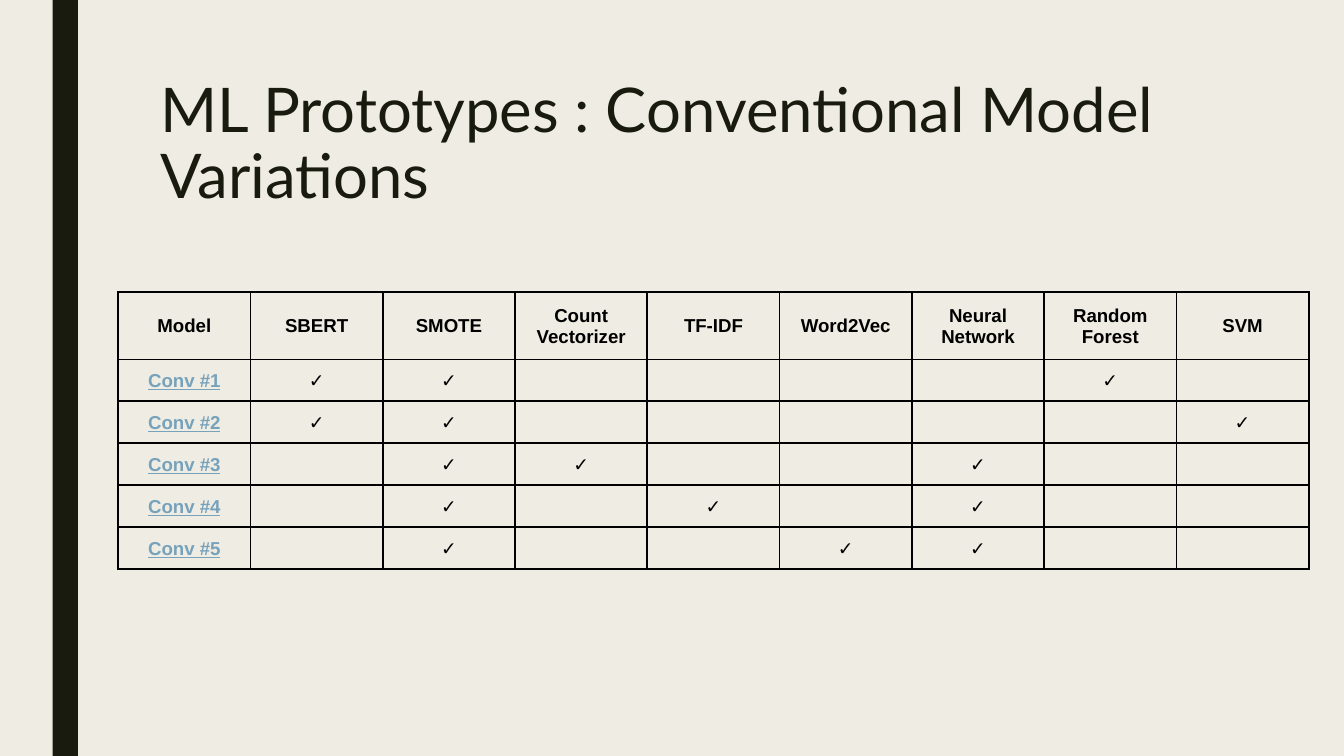
import pptx
import pptx.util
import pptx.dml.color
import pptx.enum.shapes
import pptx.enum.text
from lxml import etree

Pt = pptx.util.Pt
TITLE = "ML Prototypes : Conventional Model Variations"
HEADS = ["Model", "SBERT", "SMOTE", "Count Vectorizer", "TF-IDF",
         "Word2Vec", "Neural Network", "Random Forest", "SVM"]
MODELS = [
    ("Conv #1", {"SBERT", "SMOTE", "Random Forest"}),
    ("Conv #2", {"SBERT", "SMOTE", "SVM"}),
    ("Conv #3", {"SMOTE", "Count Vectorizer", "Neural Network"}),
    ("Conv #4", {"SMOTE", "TF-IDF", "Neural Network"}),
    ("Conv #5", {"SMOTE", "Word2Vec", "Neural Network"}),
]
PAPER, INK, BLACK, LINK = "EFEDE3", "191B0E", "000000", "77A2BB"
LEFT, TOP, COL, HEAD, ROW = 63.3, 156.5, 70.88, 36, 22.5
NS = "http://schemas.openxmlformats.org/drawingml/2006/main"


def rgb(code):
    return pptx.dml.color.RGBColor.from_string(code)


def paint(fill, code):
    fill.solid()
    fill.fore_color.rgb = rgb(code)


def style(font, name, size, code, bold=False, line=False):
    font.name, font.size = name, Pt(size)
    font.bold, font.underline = bold, line
    font.color.rgb = rgb(code)


def border(cell):
    props = cell._tc.get_or_add_tcPr()
    for i, side in enumerate(("lnL", "lnR", "lnT", "lnB")):
        edge = etree.Element(f"{{{NS}}}{side}", w=str(Pt(1)))
        fill = etree.SubElement(edge, f"{{{NS}}}solidFill")
        etree.SubElement(fill, f"{{{NS}}}srgbClr", val=BLACK)
        props.insert(i, edge)


def fill_cell(cell, text, code, bold, line):
    cell.fill.background()
    border(cell)
    cell.margin_left = cell.margin_right = cell.margin_top = Pt(0.75)
    cell.margin_bottom = Pt(0)
    cell.vertical_anchor = pptx.enum.text.MSO_ANCHOR.MIDDLE
    para = cell.text_frame.paragraphs[0]
    para.text = text
    para.alignment = pptx.enum.text.PP_ALIGN.CENTER
    for run in para.runs:
        style(run.font, "Arial", 10, code, bold, line)
    if not text:
        etree.SubElement(para._p, f"{{{NS}}}endParaRPr", sz="1000")


def add_title(slide):
    box = slide.shapes.add_textbox(Pt(80.6), Pt(40.3), Pt(567.4), Pt(76.3))
    frame = box.text_frame
    frame.word_wrap = True
    frame.margin_left = frame.margin_right = Pt(5.4)
    frame.margin_top = frame.margin_bottom = Pt(2.7)
    para = frame.paragraphs[0]
    para.text = TITLE
    para.line_spacing = 0.89
    style(para.runs[0].font, "Lato", 33, INK)


def add_grid(slide):
    rows = [HEADS] + [[name] + ["✓" if head in used else "" for head in HEADS[1:]]
                      for name, used in MODELS]
    grid = slide.shapes.add_table(
        len(rows), len(HEADS), Pt(LEFT), Pt(TOP),
        Pt(COL * len(HEADS)), Pt(HEAD + ROW * len(MODELS))).table
    grid.first_row = grid.horz_banding = False
    for col in grid.columns:
        col.width = Pt(COL)
    for r, texts in enumerate(rows):
        grid.rows[r].height = Pt(ROW if r else HEAD)
        for c, text in enumerate(texts):
            link = r > 0 and c == 0
            fill_cell(grid.cell(r, c), text, LINK if link else BLACK,
                      r == 0 or link, link)


def main():
    deck = pptx.Presentation()
    deck.slide_width, deck.slide_height = Pt(720), Pt(405)
    slide = deck.slides.add_slide(deck.slide_layouts[6])
    paint(slide.background.fill, PAPER)
    bar = slide.shapes.add_shape(pptx.enum.shapes.MSO_SHAPE.RECTANGLE,
                                 Pt(28.2), Pt(0), Pt(13.6), Pt(405))
    bar.shadow.inherit = False
    paint(bar.fill, INK)
    bar.line.fill.background()
    add_title(slide)
    add_grid(slide)
    deck.save("out.pptx")


if __name__ == "__main__":
    main()
